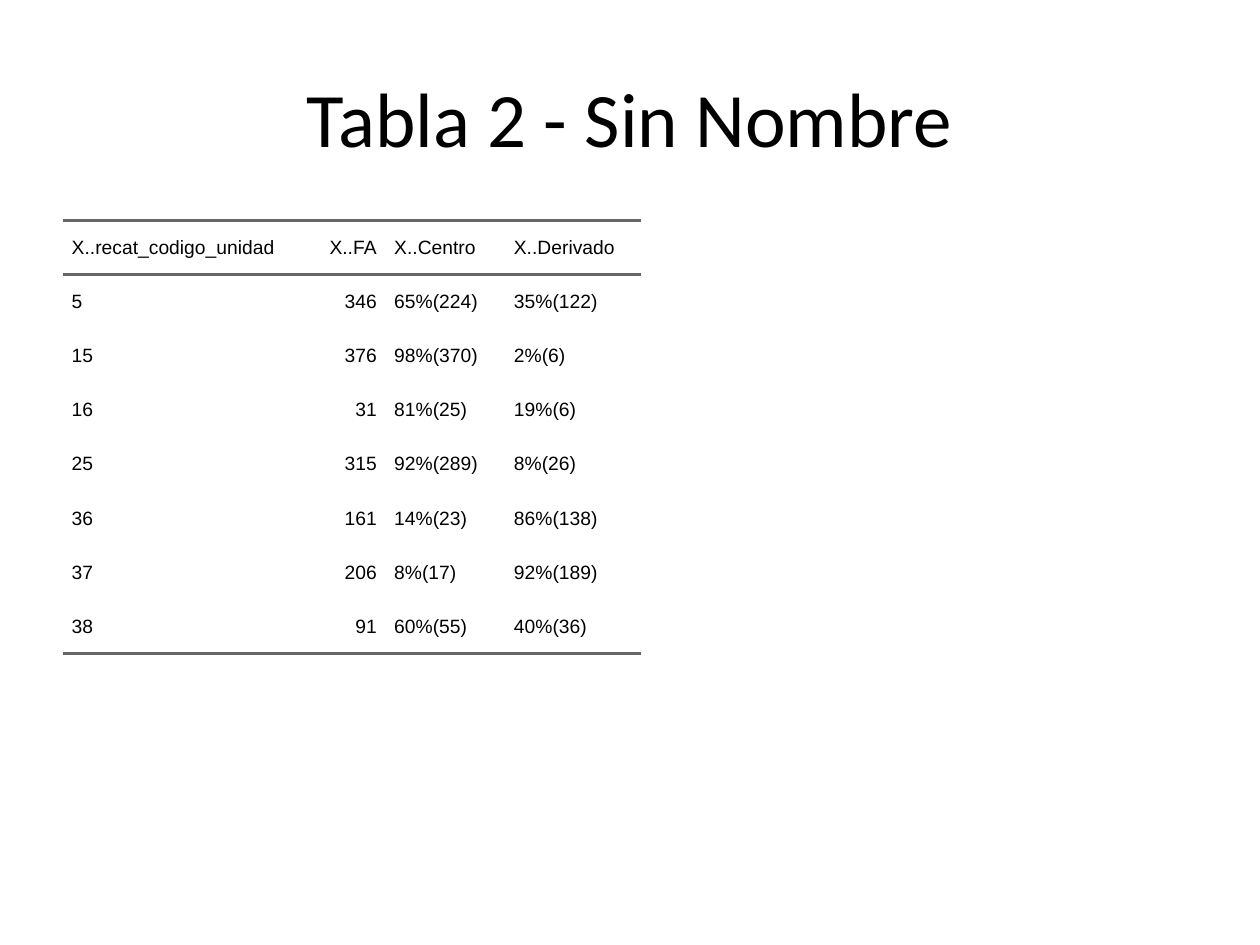
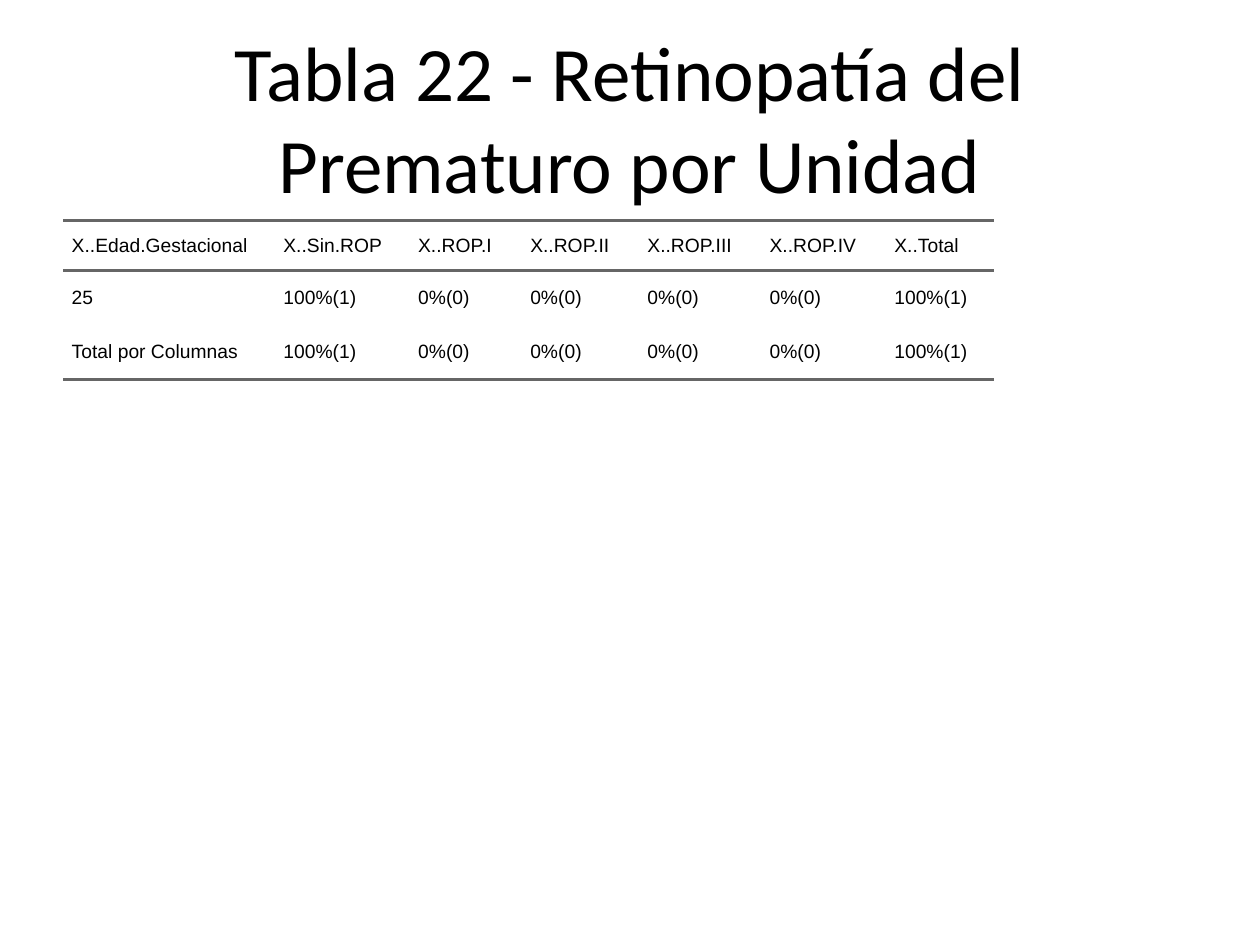
"""Build two slides, each with a title and a ruled data table."""
import pptx
import pptx.dml.color
import pptx.enum.text
import pptx.oxml.ns
import pptx.util
from lxml import etree

Inches = pptx.util.Inches
Pt = pptx.util.Pt
ALIGN = pptx.enum.text.PP_ALIGN
ANCHOR = pptx.enum.text.MSO_ANCHOR

BLACK = pptx.dml.color.RGBColor(0x00, 0x00, 0x00)
RULE_GRAY = pptx.dml.color.RGBColor(0x66, 0x66, 0x66)
RULE_WIDTH = Pt(2)
CELL_INDENT = Pt(5)

TITLE_BOX = (Inches(0.5), Inches(0.3), Inches(9), Inches(1.25))
TABLE_BOX = (Inches(0.5), Inches(1.75), Inches(9), Inches(4.95))
ROW_HEIGHT = 0.43

TABLES = [
    {
        "title": "Tabla 2 - Sin Nombre",
        "widths": [1.89, 0.67, 0.95, 1.08],
        "header_height": ROW_HEIGHT,
        "right_columns": {1},
        "rows": [
            ("X..recat_codigo_unidad", "X..FA", "X..Centro", "X..Derivado"),
            ("5", "346", "65%(224)", "35%(122)"),
            ("15", "376", "98%(370)", "2%(6)"),
            ("16", "31", "81%(25)", "19%(6)"),
            ("25", "315", "92%(289)", "8%(26)"),
            ("36", "161", "14%(23)", "86%(138)"),
            ("37", "206", "8%(17)", "92%(189)"),
            ("38", "91", "60%(55)", "40%(36)"),
        ],
    },
    {
        "title": "Tabla 22 - Retinopatía del Prematuro por Unidad",
        "widths": [1.68, 1.07, 0.89, 0.93, 0.97, 0.99, 0.86],
        "header_height": 0.4,
        "right_columns": set(),
        "rows": [
            ("X..Edad.Gestacional", "X..Sin.ROP", "X..ROP.I", "X..ROP.II",
             "X..ROP.III", "X..ROP.IV", "X..Total"),
            ("25", "100%(1)", "0%(0)", "0%(0)", "0%(0)", "0%(0)", "100%(1)"),
            ("Total por Columnas", "100%(1)", "0%(0)", "0%(0)", "0%(0)",
             "0%(0)", "100%(1)"),
        ],
    },
]


def set_font(p, name, size):
    p.font.name = name
    p.font.size = Pt(size)
    p.font.color.rgb = BLACK


def set_borders(cell, ruled_sides):
    qn = pptx.oxml.ns.qn
    tc_pr = cell._tc.get_or_add_tcPr()
    for position, side in enumerate("LRTB"):
        line = etree.Element(qn(f"a:ln{side}"))
        if side in ruled_sides:
            line.set("w", str(RULE_WIDTH))
            fill = etree.SubElement(line, qn("a:solidFill"))
            etree.SubElement(fill, qn("a:srgbClr"), val=str(RULE_GRAY))
        else:
            etree.SubElement(line, qn("a:noFill"))
        tc_pr.insert(position, line)


def fill_cell(cell, text, align, ruled_sides):
    cell.text = text
    cell.vertical_anchor = ANCHOR.MIDDLE
    cell.margin_left = cell.margin_right = 0
    cell.margin_top = cell.margin_bottom = 0
    cell.fill.background()
    p = cell.text_frame.paragraphs[0]
    p.alignment = align
    p.space_before = p.space_after = Pt(5)
    p_pr = p._p.get_or_add_pPr()
    for margin in ("marL", "marR"):
        p_pr.set(margin, str(CELL_INDENT))
    p_pr.set("indent", "0")
    set_font(p, "Arial", 11)
    set_borders(cell, ruled_sides)


def add_title(s, text):
    title = s.shapes.title
    title.left, title.top, title.width, title.height = TITLE_BOX
    tf = title.text_frame
    tf.text = text
    tf.word_wrap = True
    tf.auto_size = pptx.enum.text.MSO_AUTO_SIZE.NONE
    tf.vertical_anchor = ANCHOR.MIDDLE
    p = tf.paragraphs[0]
    p.alignment = ALIGN.CENTER
    set_font(p, "Calibri", 44)


def add_ruled_table(s, data):
    rows, widths = data["rows"], data["widths"]
    frame = s.shapes.add_table(len(rows), len(widths), *TABLE_BOX)
    table = frame.table
    table.first_row = table.horz_banding = False
    for column, width in zip(table.columns, widths):
        column.width = Inches(width)
    for i, row in enumerate(rows):
        table.rows[i].height = Inches(ROW_HEIGHT if i else data["header_height"])
        ruled_sides = ("T" if i <= 1 else "") + ("B" if i in (0, len(rows) - 1) else "")
        for j, text in enumerate(row):
            align = ALIGN.RIGHT if j in data["right_columns"] else ALIGN.LEFT
            fill_cell(table.cell(i, j), text, align, ruled_sides)
    frame.width, frame.height = TABLE_BOX[2:]


def main():
    prs = pptx.Presentation()
    prs.slide_width, prs.slide_height = Inches(10), Inches(7.5)
    for data in TABLES:
        s = prs.slides.add_slide(prs.slide_layouts[5])
        add_title(s, data["title"])
        add_ruled_table(s, data)
    prs.save("out.pptx")


if __name__ == "__main__":
    main()
